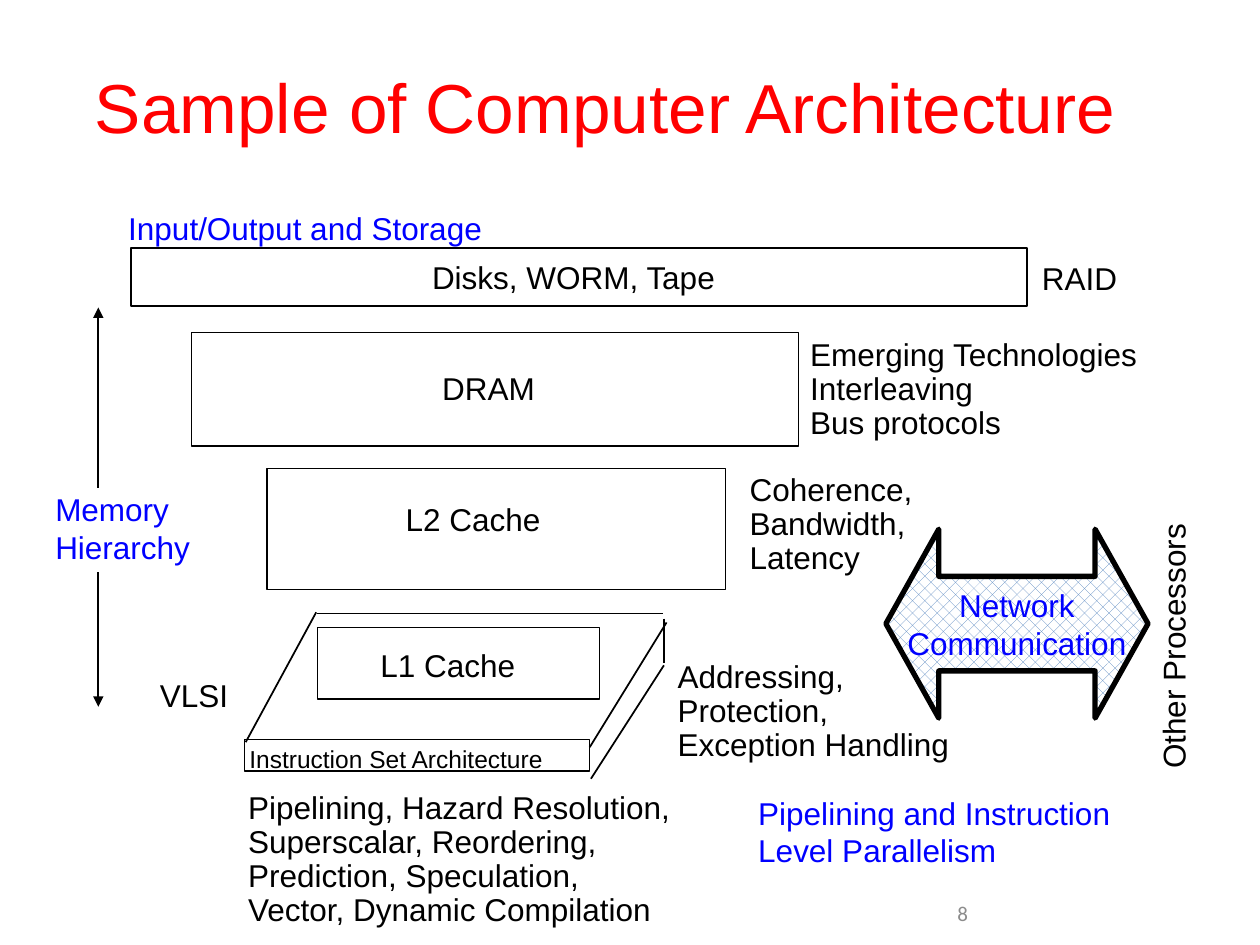
from pptx import Presentation
from pptx.dml.color import RGBColor
from pptx.enum import dml, shapes, text
from pptx.oxml.ns import qn
from pptx.util import Pt
from lxml import etree

BLACK, BLUE, RED, GREY = "000000", "0000FF", "FF0000", "8C8C8C"
TITLE = "Sample of Computer Architecture "

# left, top, width, height
BOXES = [
    (74.9, 141.8, 511.9, 33.1),   # disks
    (109.4, 190.1, 347, 64.8),    # DRAM
    (152.6, 267.8, 262.1, 69.1),  # L2
    (181.4, 358.6, 161.3, 41),    # L1
    (139.7, 422.6, 197.3, 18),    # instruction set
]
# from x, y, to x, y
EDGES = [
    (181.4, 350.6, 378.7, 350.6),
    (140.4, 424.1, 180.7, 349.9),
    (380.9, 355.7, 337, 427),
    (379.4, 353.5, 379.4, 378.7),
    (379.4, 380.2, 337.7, 445),
]
ARROWS = [(56.2, 278.6, 56.2, 175.7), (56.2, 326.9, 56.2, 403.9)]

# text, left, top, width, height, size
LABELS = [
    ("Disks, WORM, Tape", 241.9, 147.6, 180, 23.8, 18),
    ("RAID", 590.4, 148.3, 54.7, 23.8, 18),
    ("DRAM", 247.7, 211, 64.8, 23.8, 18),
    ("Emerging Technologies\nInterleaving\nBus protocols",
     457.9, 191.5, 215.3, 63.4, 18),
    ("L2 Cache", 226.8, 285.8, 90.7, 23.8, 18),
    ("Coherence,\nBandwidth,\nLatency", 423.4, 268.6, 109.4, 63.4, 18),
    ("L1 Cache", 212.4, 369.4, 90.7, 23.8, 18),
    ("VLSI", 86.4, 386.6, 50.4, 23.8, 18),
    ("Instruction Set Architecture", 137.5, 424.8, 195.8, 19.4, 14),
    ("Addressing,\nProtection,\nException Handling",
     382.3, 375.8, 180, 63.4, 18),
    ("Pipelining, Hazard Resolution,\nSuperscalar, Reordering,\n"
     "Prediction, Speculation,\nVector, Dynamic Compilation",
     136.8, 450.7, 271.4, 82.8, 18),
]
# text, left, top, width, height, wrap
TOPICS = [
    ("Input/Output and Storage", 66.2, 115.9, 229.7, 28.8, True),
    ("Memory\nHierarchy", 24.5, 276.5, 100.1, 50.4, False),
    ("Pipelining and Instruction\nLevel Parallelism",
     426.2, 450, 241.2, 50.4, False),
]


def rgb(code):
    return RGBColor.from_string(code)


def pts(vals):
    return [Pt(v) for v in vals]


def write(frame, words, size, color, font="Arial", align=None, gap=None):
    frame.text = words
    for para in frame.paragraphs:
        para.font.size = Pt(size)
        para.font.name = font
        para.font.color.rgb = rgb(color)
        para.alignment = align
        para.line_spacing = gap


def label(words, area, size, color, wrap=False, pad=(7.2, 3.6), **style):
    box = slide.shapes.add_textbox(*pts(area))
    frame = box.text_frame
    frame.word_wrap = wrap
    frame.auto_size = text.MSO_AUTO_SIZE.SHAPE_TO_FIT_TEXT
    frame.margin_left = frame.margin_right = Pt(pad[0])
    frame.margin_top = frame.margin_bottom = Pt(pad[1])
    write(frame, words, size, color, **style)
    return box


def shape(kind, area, width):
    item = slide.shapes.add_shape(kind, *pts(area))
    item.shadow.inherit = False
    item.fill.background()
    item.line.color.rgb = rgb(BLACK)
    item.line.width = Pt(width)
    return item


def line(ends, head=False):
    item = slide.shapes.add_connector(shapes.MSO_CONNECTOR.STRAIGHT, *pts(ends))
    item.line.color.rgb = rgb(BLACK)
    item.line.width = Pt(1)
    if head:
        etree.SubElement(item.line._get_or_add_ln(), qn("a:tailEnd"),
                         type="triangle")
    etree.SubElement(item._element.spPr, qn("a:effectLst"))


deck = Presentation()
deck.slide_width, deck.slide_height = Pt(720), Pt(540)
slide = deck.slides.add_slide(deck.slide_layouts[5])

title = slide.shapes.title
title.left, title.top, title.width, title.height = pts((35.3, 18, 632.2, 85))
title.text_frame.vertical_anchor = text.MSO_ANCHOR.MIDDLE
write(title.text_frame, TITLE, 39.6, RED, align=text.PP_ALIGN.CENTER)

for area in BOXES:
    shape(shapes.MSO_SHAPE.RECTANGLE, area, 1)
for ends in EDGES:
    line(ends)
for ends in ARROWS:
    line(ends, head=True)
for words, *area, size in LABELS:
    label(words, area, size, BLACK, pad=(5, 2.2), gap=0.9)
for words, *area, wrap in TOPICS:
    label(words, area, 18, BLUE, wrap)

net = shape(shapes.MSO_SHAPE.LEFT_RIGHT_ARROW, (506.2, 302.4, 149.8, 108), 3)
net.adjustments[0], net.adjustments[1] = 0.5, 0.28
net.fill.patterned()
net.fill.pattern = dml.MSO_PATTERN.PERCENT_30
net.fill.fore_color.rgb = rgb("4F81BD")
net.fill.back_color.rgb = rgb("FFFFFF")
net.text_frame.word_wrap = False
net.text_frame.vertical_anchor = text.MSO_ANCHOR.MIDDLE
write(net.text_frame, "Network\nCommunication", 18, BLUE,
      align=text.PP_ALIGN.CENTER)

side = label("Other Processors", (583.2, 344.9, 174.2, 28.8), 18, BLACK, True)
side.rotation = 270

page = label("8", (540, 504, 149.8, 36), 12, GREY, True, font="Calibri")
page.text_frame.auto_size = text.MSO_AUTO_SIZE.NONE
page.text_frame.vertical_anchor = text.MSO_ANCHOR.MIDDLE

deck.save("out.pptx")
